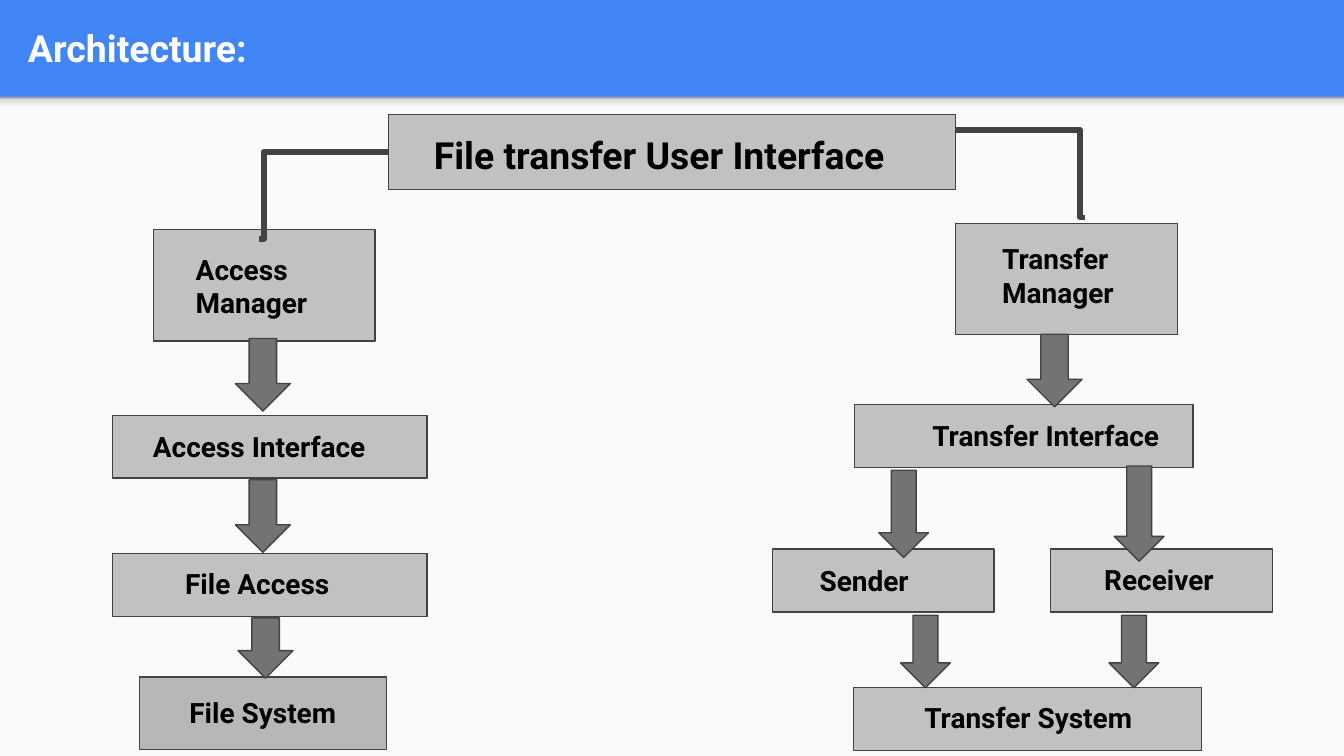
"""Build the file transfer architecture slide."""
import pptx
import pptx.dml.color
import pptx.enum.shapes
import pptx.enum.text
import pptx.oxml
import pptx.oxml.ns
import pptx.util

Cm = pptx.util.Cm
Pt = pptx.util.Pt
SHAPES = pptx.enum.shapes.MSO_SHAPE
ANCHOR = pptx.enum.text.MSO_ANCHOR
NAMESPACE = pptx.oxml.ns.nsdecls("a")

WIDTH, HEIGHT, HEADER = 25.4, 14.29, 1.83
GREY, EDGE = "737373", "424242"
SHADE = [(0, "F9F9F9"), (36, "F9F9F9"), (80, "DEDEDE"), (100, "999999")]

INTERFACE_BOX = (7.34, 2.16, 10.72, 1.42)
BOXES = [
    (2.9, 4.34, 4.19, 2.11),
    (18.06, 4.22, 4.19, 2.11),
    (16.15, 7.65, 6.4, 1.19),
    (2.13, 7.85, 5.94, 1.19),
    (2.13, 10.46, 5.94, 1.19),
    (14.6, 10.38, 4.19, 1.19),
    (19.86, 10.38, 4.19, 1.19),
    (16.13, 13, 6.58, 1.19),
]
FILE_SYSTEM_BOX = (2.64, 12.8, 4.67, 1.37)
LABELS = [
    ("Access Manager", (3.45, 4.52, 3.99, 1.8)),
    ("Transfer\nManager", (18.69, 4.32, 3.3, 1.8)),
    ("Transfer Interface", (17.37, 7.67, 5.18, 1.14)),
    ("Access Interface", (2.64, 7.87, 4.93, 1.14)),
    ("File Access", (3.25, 10.46, 5.18, 1.14)),
    ("Sender", (15.24, 10.41, 2.95, 1.14)),
    ("Receiver", (20.62, 10.39, 3.15, 1.14)),
    ("File System", (3.33, 12.9, 3.71, 1.14)),
    ("Transfer System", (17.22, 13, 5.08, 1.14)),
]
ARROWS = [
    (4.45, 6.4, 1.04, 1.37),
    (19.41, 6.32, 1.04, 1.37),
    (4.45, 9.07, 1.04, 1.37),
    (4.5, 11.68, 1.04, 1.14),
    (20.96, 11.63, 0.94, 1.37),
    (17.02, 11.63, 0.94, 1.37),
    (16.61, 8.89, 0.94, 1.65),
    (21.06, 8.81, 0.94, 1.8),
]
ACCESS_LINK = (7.34, 2.87, 4.9, 4.52)
TRANSFER_LINK = (18.06, 2.46, 20.5, 4.11)


def color(value):
    return pptx.dml.color.RGBColor.from_string(value)


def lengths(values):
    return [Cm(value) for value in values]


def add_shape(slide, place, kind=SHAPES.RECTANGLE, fill=GREY, line=EDGE, opacity=100):
    shape = slide.shapes.add_shape(kind, *lengths(place))
    shape.shadow.inherit = False
    shape.fill.solid()
    shape.fill.fore_color.rgb = color(fill)
    if opacity < 100:
        alpha = pptx.oxml.parse_xml(f'<a:alpha {NAMESPACE} val="{opacity * 1000}"/>')
        shape.element.spPr.find(".//" + pptx.oxml.ns.qn("a:srgbClr")).append(alpha)
    if line:
        shape.line.color.rgb = color(line)
        shape.line.width = Pt(0.75)
    else:
        shape.line.fill.background()
    return shape


def add_text(slide, text, place, size=15, ink="000000", anchor=ANCHOR.TOP):
    frame = slide.shapes.add_textbox(*lengths(place)).text_frame
    frame.word_wrap = True
    frame.vertical_anchor = anchor
    frame.margin_left = frame.margin_right = Cm(0.25)
    frame.margin_top = frame.margin_bottom = Cm(0.25)
    frame.text = text
    for paragraph in frame.paragraphs:
        paragraph.font.name = "Roboto"
        paragraph.font.size = Pt(size)
        paragraph.font.bold = True
        paragraph.font.color.rgb = color(ink)


def add_shade(slide, place):
    shape = add_shape(slide, place, line=None)
    stops = "".join(
        f'<a:gs pos="{position * 1000}"><a:srgbClr val="{value}"/></a:gs>'
        for position, value in SHADE
    )
    gradient = pptx.oxml.parse_xml(
        f'<a:gradFill {NAMESPACE}><a:gsLst>{stops}</a:gsLst><a:lin ang="16200000" scaled="0"/></a:gradFill>'
    )
    properties = shape.element.spPr
    properties.replace(properties.find(pptx.oxml.ns.qn("a:solidFill")), gradient)


def add_link(slide, points):
    link = slide.shapes.add_connector(
        pptx.enum.shapes.MSO_CONNECTOR.ELBOW, *lengths(points)
    )
    link.line.color.rgb = color(EDGE)
    link.line.width = Pt(3)
    properties = link._element.spPr
    properties.append(pptx.oxml.parse_xml(f"<a:effectLst {NAMESPACE}/>"))
    bend = pptx.oxml.parse_xml(f'<a:gd {NAMESPACE} name="adj1" fmla="val 96400"/>')
    properties.find(".//" + pptx.oxml.ns.qn("a:avLst")).append(bend)
    return link


def main():
    presentation = pptx.Presentation()
    presentation.slide_width, presentation.slide_height = Cm(WIDTH), Cm(HEIGHT)
    slide = presentation.slides.add_slide(presentation.slide_layouts[6])
    slide.background.fill.solid()
    slide.background.fill.fore_color.rgb = color("4285F4")

    add_shape(slide, (0, HEADER, WIDTH, HEIGHT - HEADER), fill="FAFAFA", line=None)
    add_shade(slide, (0, HEADER, WIDTH, 0.3))
    add_text(slide, "Architecture:", (0.28, 0.05, 24.51, 1.68),
             size=20, ink="FFFFFF", anchor=ANCHOR.MIDDLE)

    add_shape(slide, FILE_SYSTEM_BOX, fill="B7B7B7")
    interface = add_shape(slide, INTERFACE_BOX, opacity=42)
    for place in BOXES:
        add_shape(slide, place, opacity=42)
    add_text(slide, "File transfer User Interface", (7.95, 2.24, 9.47, 1.37), size=20)
    for text, place in LABELS:
        add_text(slide, text, place)
    for place in ARROWS:
        add_shape(slide, place, kind=SHAPES.DOWN_ARROW)
    add_link(slide, ACCESS_LINK).begin_connect(interface, 1)
    add_link(slide, TRANSFER_LINK)

    presentation.save("out.pptx")


if __name__ == "__main__":
    main()
